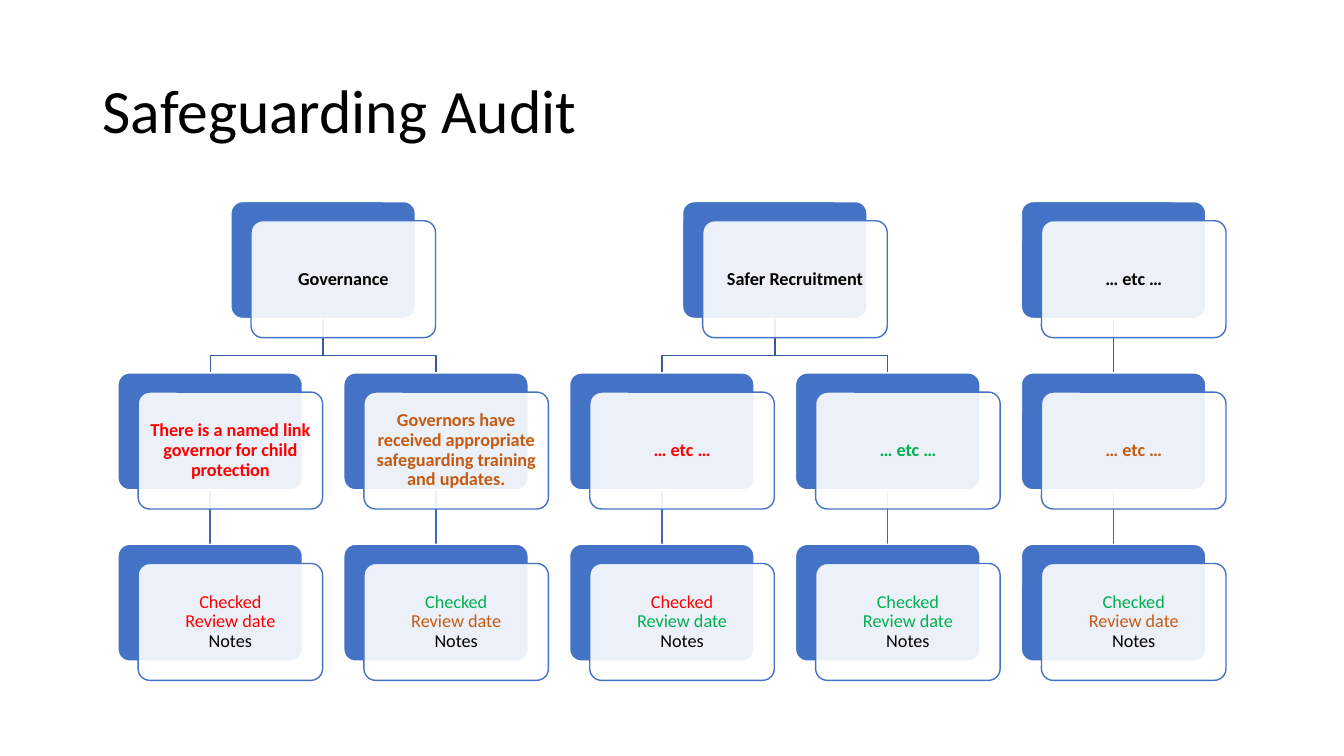
from lxml.etree import SubElement
from pptx import Presentation
from pptx.dml.color import RGBColor
from pptx.enum.shapes import MSO_CONNECTOR, MSO_SHAPE
from pptx.enum.text import MSO_ANCHOR, PP_ALIGN
from pptx.oxml.ns import qn
from pptx.util import Inches, Pt

HUES = {
    "black": "000000", "white": "FFFFFF", "blue": "4472C4",
    "red": "FF0000", "green": "00B050", "amber": "C55A11",
    "upper": "365B9D", "lower": "3E67B2",
}

# Grid: card size, first card, steps between cards
WIDE, HIGH = 1.83, 1.16
LEFT, TOP = 1.17, 2
STEP, DROP = 2.24, 1.7
BEND = 3.53

# Top row: column, text, columns of the cards below
HEADS = [(0.5, "Governance", (0, 1)),
         (2.5, "Safer Recruitment", (2, 3)),
         (4, "… etc …", (4,))]
# One column each: item, its colour, colours of "Checked" and "Review date"
ITEMS = [
    ("There is a named link governor for child protection", "red", "red", "red"),
    ("Governors have received appropriate safeguarding training and updates.",
     "amber", "green", "amber"),
    ("… etc …", "red", "red", "green"),
    ("… etc …", "green", "green", "green"),
    ("… etc …", "amber", "green", "amber"),
]


def tint(name):
    return RGBColor.from_string(HUES[name])


def place(col, row):
    return LEFT + STEP * col, TOP + DROP * row


def write(frame, text, size=13, hue="black", bold=False, align=PP_ALIGN.CENTER):
    """Add a run, on a new line when the frame already holds text."""
    par = frame.paragraphs[0]
    par.alignment, par.line_spacing = align, 0.9
    if par.runs:
        par.add_line_break()
        SubElement(par._p[-1], qn("a:rPr"), sz=str(size * 100))
    run = par.add_run()
    run.text = text
    run.font.name, run.font.size, run.font.bold = "Calibri", Pt(size), bold
    run.font.color.rgb = tint(hue)


class Board:
    def __init__(self, slide):
        self.shapes = slide.shapes
        self.line = Pt(1)

    def title(self, text):
        box = self.shapes.add_textbox(
            Inches(0.92), Inches(0.4), Inches(11.5), Inches(1.45))
        frame = box.text_frame
        frame.word_wrap, frame.vertical_anchor = True, MSO_ANCHOR.MIDDLE
        write(frame, text, size=44, align=PP_ALIGN.LEFT)

    def link(self, col, row, hue):
        """Straight line from a card to the one below it."""
        x, y = place(col, row)
        mid = Inches(x + WIDE / 2)
        line = self.shapes.add_connector(
            MSO_CONNECTOR.STRAIGHT, mid, Inches(y + HIGH), mid, Inches(y + DROP))
        line.line.color.rgb, line.line.width = tint(hue), self.line
        SubElement(line._element.spPr, qn("a:effectLst"))
        return line

    def elbow(self, col, kid):
        """Bent line from a heading card to an item card."""
        start, y = place(col, 0)
        end = place(kid, 1)[0] + WIDE / 2
        start += WIDE / 2
        path = self.shapes.build_freeform(Inches(start), Inches(y + HIGH))
        path.add_line_segments(
            [(Inches(start), Inches(BEND)), (Inches(end), Inches(BEND)),
             (Inches(end), Inches(y + DROP))], close=False)
        bent = path.convert_to_shape()
        bent.shadow.inherit = False
        bent.fill.background()
        bent.line.color.rgb, bent.line.width = tint("upper"), self.line

    def panel(self, x, y, fill, edge):
        box = self.shapes.add_shape(
            MSO_SHAPE.ROUNDED_RECTANGLE,
            Inches(x), Inches(y), Inches(WIDE), Inches(HIGH))
        box.adjustments[0] = 0.1
        box.shadow.inherit = False
        box.fill.solid()
        box.fill.fore_color.rgb = tint(fill)
        box.line.color.rgb, box.line.width = tint(edge), self.line
        return box

    def card(self, col, row, lines, bold=True):
        """Blue panel with a pale panel of text in front; returns the blue one."""
        x, y = place(col, row)
        back = self.panel(x, y, "blue", "white")
        front = self.panel(x + 0.2, y + 0.19, "white", "blue")
        shade = front._element.spPr.find(qn("a:solidFill"))[0]
        SubElement(shade, qn("a:alpha"), val="90000")
        frame = front.text_frame
        frame.word_wrap, frame.vertical_anchor = True, MSO_ANCHOR.MIDDLE
        frame.margin_left = frame.margin_right = Inches(0.08)
        frame.margin_top = frame.margin_bottom = Inches(0.08)
        for text, hue in lines:
            write(frame, text, hue=hue, bold=bold)
        return back


def main():
    deck = Presentation()
    deck.slide_width, deck.slide_height = Inches(13.33), Inches(7.5)
    board = Board(deck.slides.add_slide(deck.slide_layouts[6]))
    board.title("Safeguarding Audit")

    # Lines, behind the cards
    links = {(col, 1): board.link(col, 1, "lower") for col in range(len(ITEMS))}
    for col, _, kids in HEADS:
        for kid in kids:
            if kid == col:
                links[col, 0] = board.link(col, 0, "upper")
            else:
                board.elbow(col, kid)

    # Cards
    cards = {}
    for col, text, _ in HEADS:
        cards[col, 0] = board.card(col, 0, [(text, "black")])
    for col, (text, hue, check, review) in enumerate(ITEMS):
        cards[col, 1] = board.card(col, 1, [(text, hue)])
        notes = [("Checked", check), ("Review date", review), ("Notes", "black")]
        cards[col, 2] = board.card(col, 2, notes, bold=False)

    # Join the straight lines to the cards
    for (col, row), line in links.items():
        line.begin_connect(cards[col, row], 2)
        line.end_connect(cards[col, row + 1], 0)

    deck.save("out.pptx")


if __name__ == "__main__":
    main()
